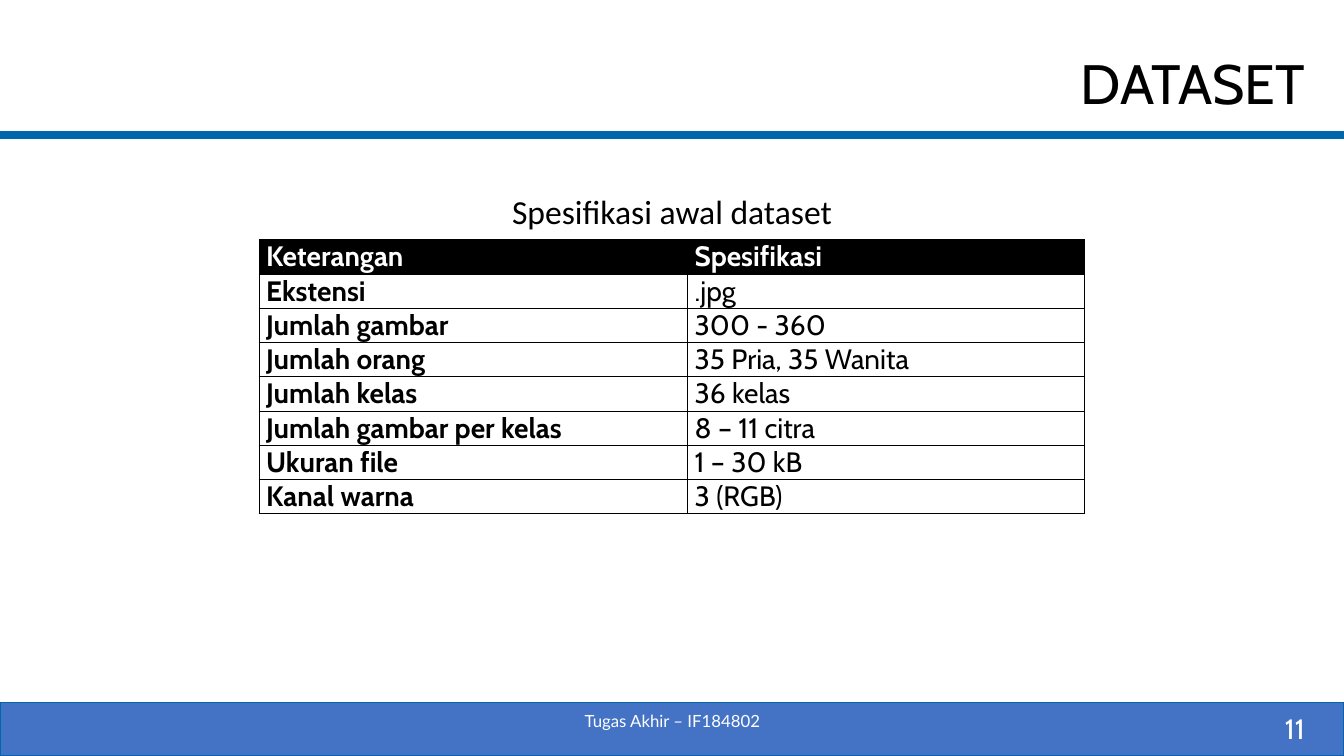
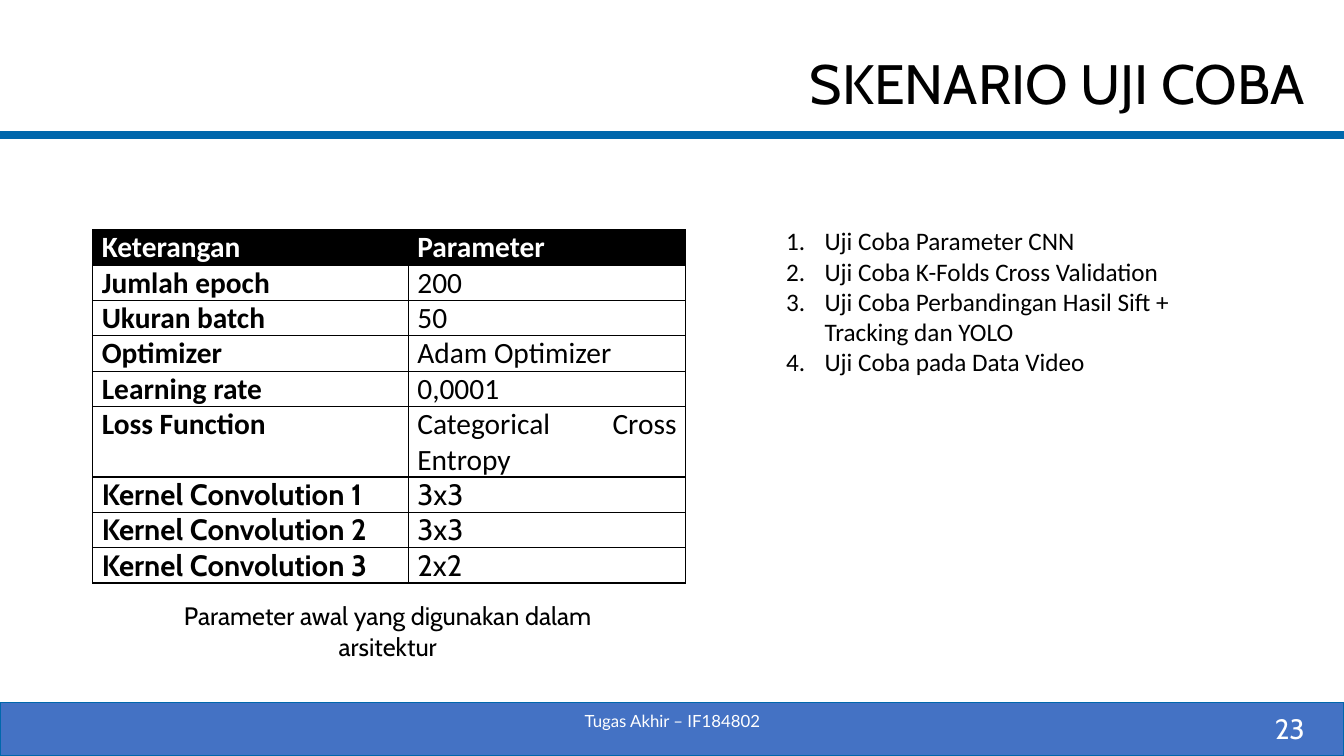
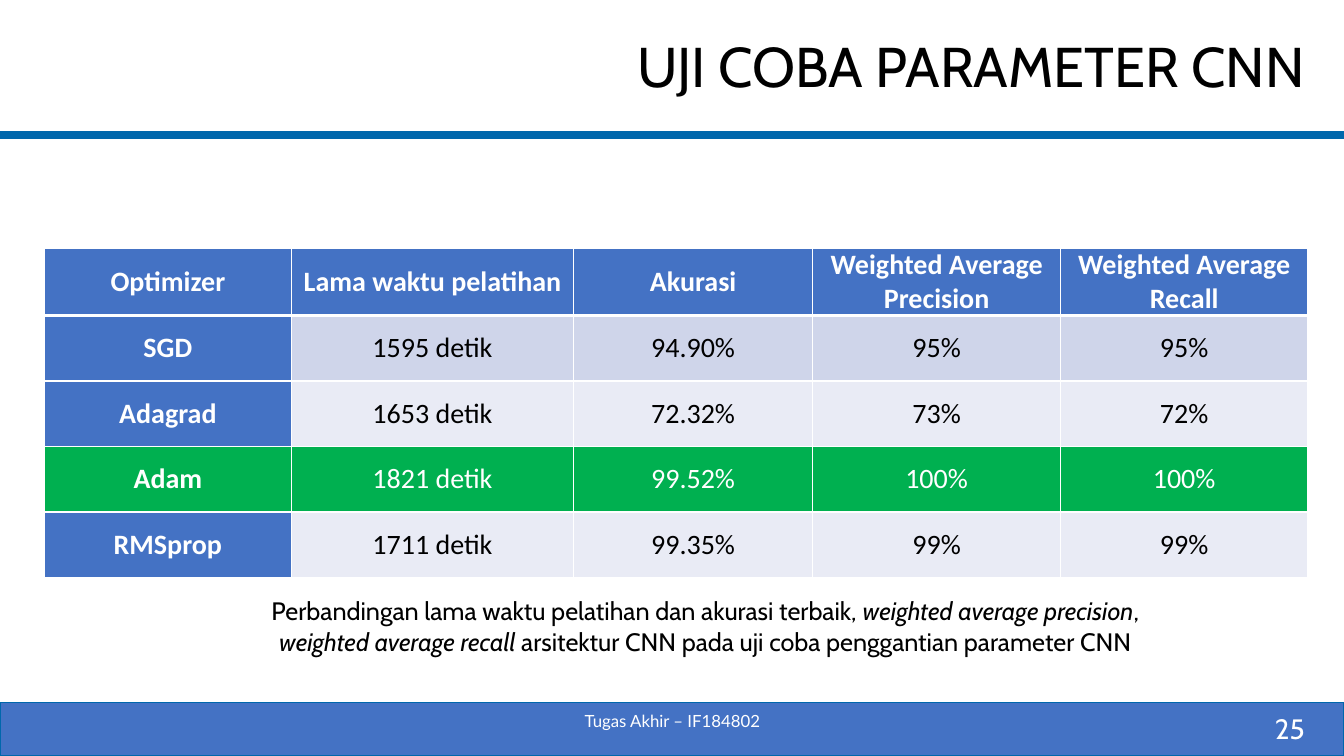
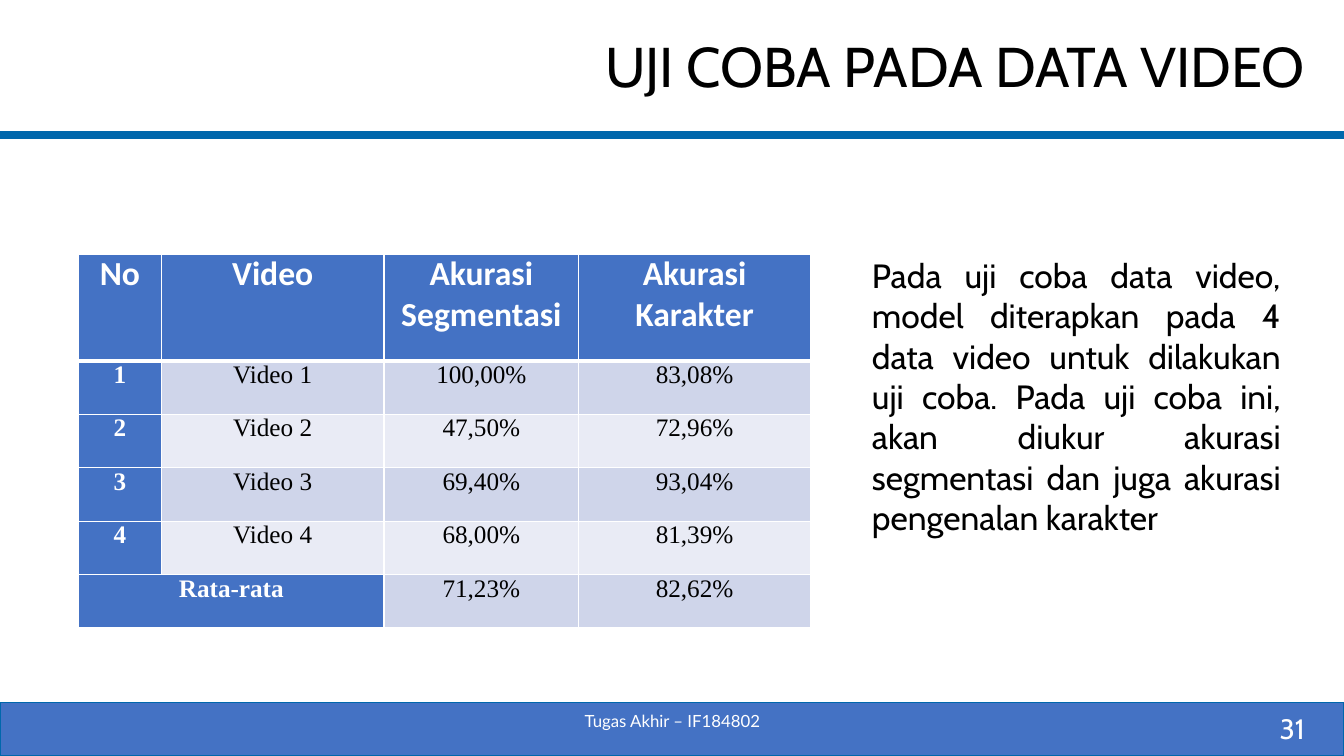
"""Build four thesis slides on a dataset, its test scenarios and their results."""
from dataclasses import dataclass, replace
from typing import Callable, Optional

from lxml import etree
from pptx import Presentation
from pptx.dml.color import RGBColor
from pptx.enum import shapes, text
from pptx.oxml import ns
from pptx.util import Inches, Pt

BLUE, LINE_BLUE, GREEN = "4472C4", "0067AC", "00B050"
BLACK, WHITE = "000000", "FFFFFF"
BANDS = ("CFD5EA", "E9EBF5")
LEFT, RIGHT = text.PP_ALIGN.LEFT, text.PP_ALIGN.RIGHT
CENTER, JUSTIFY = text.PP_ALIGN.CENTER, text.PP_ALIGN.JUSTIFY
TOP, MIDDLE = text.MSO_ANCHOR.TOP, text.MSO_ANCHOR.MIDDLE
WIDTH, HEIGHT = 13.33, 7.5
FOOTER_TOP = 6.97
FOOTER_TEXT = "Tugas Akhir – IF184802"


@dataclass(frozen=True)
class Style:
    font: str
    size: float
    color: str = BLACK
    bold: bool = False
    align: text.PP_ALIGN = LEFT
    spacing: Optional[float] = None


@dataclass(frozen=True)
class Box:
    left: float
    top: float
    width: float
    height: float


@dataclass(frozen=True)
class Span:
    words: str
    italic: bool = False


@dataclass(frozen=True)
class Look:
    fill: str
    style: Style


@dataclass(frozen=True)
class Grid:
    left: float
    top: float
    columns: tuple[float, ...]
    heights: tuple[float, ...]
    rows: tuple[tuple[str, ...], ...]
    look: Callable[[int, int], Look]
    border: str
    inset: float
    header_rule: float = 1
    anchor: text.MSO_ANCHOR = TOP


TITLE = Style("Cabin", 40, align=RIGHT)
SPACED_TITLE = replace(TITLE, size=39.6, spacing=1.5)
PAGE_NUMBER = Style("Cabin", 20, WHITE, align=RIGHT)
FOOTER = Style("Lato", 12, WHITE, align=CENTER)
CAPTION = Style("Cabin", 18, align=CENTER)


def rgb(color: str) -> RGBColor:
    return RGBColor.from_string(color)


def write(para, spans: list[Span], style: Style) -> None:
    para.alignment = style.align
    if style.spacing:
        para.line_spacing = style.spacing
    font = para.font
    font.name, font.size, font.bold = style.font, Pt(style.size), style.bold
    font.color.rgb = rgb(style.color)
    for span in spans:
        run = para.add_run()
        run.text = span.words
        if span.italic:
            run.font.italic = True


def add_text(page, box: Box, paragraphs: list[list[Span]], style: Style, anchor=TOP):
    shape = page.shapes.add_textbox(
        Inches(box.left), Inches(box.top), Inches(box.width), Inches(box.height)
    )
    frame = shape.text_frame
    frame.word_wrap = True
    frame.vertical_anchor = anchor
    for index, spans in enumerate(paragraphs):
        para = frame.add_paragraph() if index else frame.paragraphs[0]
        write(para, spans, style)
    return frame


def add_page(deck, title: str, number: int, title_style: Style):
    page = deck.slides.add_slide(deck.slide_layouts[6])
    rule = page.shapes.add_connector(
        shapes.MSO_CONNECTOR.STRAIGHT, 0, Inches(1.34), Inches(WIDTH), Inches(1.34)
    )
    rule.line.color.rgb = rgb(LINE_BLUE)
    rule.line.width = Pt(6)
    etree.SubElement(rule._element.spPr, ns.qn("a:effectLst"))
    add_text(page, Box(1.54, 0.23, 11.5, 0.84), [[Span(title)]], title_style, MIDDLE)
    band = page.shapes.add_shape(
        shapes.MSO_SHAPE.RECTANGLE, 0, Inches(FOOTER_TOP), Inches(WIDTH), Inches(HEIGHT - FOOTER_TOP)
    )
    band.shadow.inherit = False
    band.fill.solid()
    band.fill.fore_color.rgb = rgb(BLUE)
    band.line.color.rgb = rgb(LINE_BLUE)
    band.line.width = Pt(1)
    add_text(page, Box(10.04, 7.03, 3, 0.4), [[Span(str(number))]], PAGE_NUMBER, MIDDLE)
    add_text(page, Box(4.42, 6.95, 4.5, 0.4), [[Span(FOOTER_TEXT)]], FOOTER, MIDDLE)
    return page


def add_border(cell, side: str, color: str, width: float) -> None:
    line = etree.SubElement(cell._tc.get_or_add_tcPr(), ns.qn(f"a:ln{side}"), w=str(Pt(width)))
    fill = etree.SubElement(line, ns.qn("a:solidFill"))
    etree.SubElement(fill, ns.qn("a:srgbClr"), val=color)


def add_grid(page, grid: Grid):
    table = page.shapes.add_table(
        len(grid.rows), len(grid.columns), Inches(grid.left), Inches(grid.top),
        Inches(sum(grid.columns)), Inches(sum(grid.heights)),
    ).table
    table.first_row = table.horz_banding = False
    for column, width in zip(table.columns, grid.columns):
        column.width = Inches(width)
    for row, height in zip(table.rows, grid.heights):
        row.height = Inches(height)
    for r, words in enumerate(grid.rows):
        for c, word in enumerate(words):
            cell, look = table.cell(r, c), grid.look(r, c)
            cell.margin_left = cell.margin_right = Inches(grid.inset)
            cell.margin_top = cell.margin_bottom = 0
            cell.vertical_anchor = grid.anchor
            rules = {"T": r == 1, "B": r == 0}
            for side in "LRTB":
                add_border(cell, side, grid.border, grid.header_rule if rules.get(side) else 1)
            cell.fill.solid()
            cell.fill.fore_color.rgb = rgb(look.fill)
            write(cell.text_frame.paragraphs[0], [Span(word)] if word else [], look.style)
    return table


def plain_look(style: Style) -> Callable[[int, int], Look]:
    def look(row: int, column: int) -> Look:
        if row == 0:
            return Look(BLACK, replace(style, color=WHITE, bold=True))
        return Look(WHITE, replace(style, bold=column == 0))
    return look


def banded_look(
    header: Style, body: Style, best_row: int = -1, wide_row: int = -1
) -> Callable[[int, int], Look]:
    def look(row: int, column: int) -> Look:
        if row == 0:
            return Look(BLUE, replace(header, color=WHITE, bold=True))
        if row == best_row:
            return Look(GREEN, replace(body, color=WHITE, bold=column == 0))
        if column == 0 or (row == wide_row and column == 1):
            return Look(BLUE, replace(body, color=WHITE, bold=True))
        return Look(BANDS[(row - 1) % 2], body)
    return look


def dataset_page(deck) -> None:
    page = add_page(deck, "DATASET", 11, SPACED_TITLE)
    rows = (
        ("Keterangan", "Spesifikasi"),
        ("Ekstensi", ".jpg"),
        ("Jumlah gambar", "300 - 360"),
        ("Jumlah orang", "35 Pria, 35 Wanita"),
        ("Jumlah kelas", "36 kelas"),
        ("Jumlah gambar per kelas", "8 – 11 citra"),
        ("Ukuran file", "1 – 30 kB"),
        ("Kanal warna", "3 (RGB)"),
    )
    look = plain_look(Style("Cabin", 20, align=JUSTIFY))
    add_grid(page, Grid(2.57, 2.38, (4.25, 3.94), (0.34,) * len(rows), rows, look, BLACK, 0.07))
    caption = replace(CAPTION, font="Calibri", size=24)
    add_text(page, Box(4.94, 1.84, 3.45, 0.5), [[Span("Spesifikasi awal dataset")]], caption)


def scenario_page(deck) -> None:
    page = add_page(deck, "SKENARIO UJI COBA", 23, SPACED_TITLE)
    scenarios = (
        "Uji Coba Parameter CNN",
        "Uji Coba K-Folds Cross Validation",
        "Uji Coba Perbandingan Hasil Sift + Tracking dan YOLO",
        "Uji Coba pada Data Video",
    )
    frame = add_text(
        page, Box(7.7, 2.19, 4.67, 1.62), [[Span(item)] for item in scenarios], Style("Calibri", 18)
    )
    for para in frame.paragraphs:
        props = para._p.get_or_add_pPr()
        props.set("marL", str(Inches(0.38)))
        props.set("indent", str(-Inches(0.38)))
        number = etree.Element(ns.qn("a:buAutoNum"), type="arabicPeriod")
        props.find(ns.qn("a:defRPr")).addprevious(number)
    rows = (
        ("Keterangan", "Parameter"),
        ("Jumlah epoch", "200"),
        ("Ukuran batch", "50"),
        ("Optimizer", "Adam Optimizer"),
        ("Learning rate", "0,0001"),
        ("Loss Function", "Categorical Cross Entropy"),
        ("Kernel Convolution 1", "3x3"),
        ("Kernel Convolution 2", "3x3"),
        ("Kernel Convolution 3", "2x2"),
    )
    general = plain_look(Style("Calibri", 21, align=JUSTIFY))
    kernel = plain_look(Style("Cabin", 21, align=JUSTIFY))

    def look(row: int, column: int) -> Look:
        return (kernel if rows[row][0].startswith("Kernel") else general)(row, column)

    heights = tuple(0.7 if label == "Loss Function" else 0.35 for label, _ in rows)
    add_grid(page, Grid(0.92, 2.28, (3.13, 2.75), heights, rows, look, BLACK, 0.09))
    caption = "Parameter awal yang digunakan dalam arsitektur"
    add_text(page, Box(1.24, 5.91, 5.21, 0.71), [[Span(caption)]], CAPTION)


def optimizer_page(deck) -> None:
    page = add_page(deck, "UJI COBA PARAMETER CNN", 25, TITLE)
    rows = (
        ("Optimizer", "Lama waktu pelatihan", "Akurasi",
         "Weighted Average Precision", "Weighted Average Recall"),
        ("SGD", "1595 detik", "94.90%", "95%", "95%"),
        ("Adagrad", "1653 detik", "72.32%", "73%", "72%"),
        ("Adam", "1821 detik", "99.52%", "100%", "100%"),
        ("RMSprop", "1711 detik", "99.35%", "99%", "99%"),
    )
    body = Style("Calibri", 20, align=CENTER)
    add_grid(page, Grid(
        0.44, 2.46, (2.45, 2.8, 2.37, 2.46, 2.45), (0.67,) + (0.65,) * 4, rows,
        banded_look(body, body, best_row=3), WHITE, 0.05, 3, MIDDLE,
    ))
    caption = [
        Span("Perbandingan lama waktu pelatihan dan akurasi terbaik, "),
        Span("weighted average precision", True),
        Span(", "),
        Span("weighted average recall ", True),
        Span("arsitektur CNN pada uji coba penggantian parameter CNN"),
    ]
    add_text(page, Box(2.46, 5.86, 9.07, 0.71), [caption], CAPTION)


def video_page(deck) -> None:
    page = add_page(deck, "UJI COBA PADA DATA VIDEO", 31, TITLE)
    rows = (
        ("No", "Video", "Akurasi Segmentasi", "Akurasi Karakter"),
        ("1", "Video 1", "100,00%", "83,08%"),
        ("2", "Video 2", "47,50%", "72,96%"),
        ("3", "Video 3", "69,40%", "93,04%"),
        ("4", "Video 4", "68,00%", "81,39%"),
        ("Rata-rata", "", "71,23%", "82,62%"),
    )
    average = len(rows) - 1
    look = banded_look(
        Style("Calibri", 24, align=CENTER), Style("Times New Roman", 18, align=CENTER), wide_row=average
    )
    table = add_grid(page, Grid(
        0.78, 2.52, (0.82, 2.21, 1.93, 2.3), (1.06,) + (0.53,) * average, rows, look, WHITE, 0.07, 3
    ))
    table.cell(average, 0).merge(table.cell(average, 1))
    summary = (
        "Pada uji coba data video, model diterapkan pada 4 data video untuk dilakukan uji coba. "
        "Pada uji coba ini, akan diukur akurasi segmentasi dan juga akurasi pengenalan karakter"
    )
    frame = add_text(
        page, Box(8.05, 2.48, 4.75, 2.93), [[Span(summary)]], Style("Cabin", 24, align=JUSTIFY)
    )
    para = frame.paragraphs[0]
    para.space_after = Pt(6)
    para._p.get_or_add_pPr().set("marL", str(Inches(0.5)))


def main() -> None:
    deck = Presentation()
    deck.slide_width, deck.slide_height = Inches(WIDTH), Inches(HEIGHT)
    for build in (dataset_page, scenario_page, optimizer_page, video_page):
        build(deck)
    deck.save("out.pptx")


if __name__ == "__main__":
    main()
